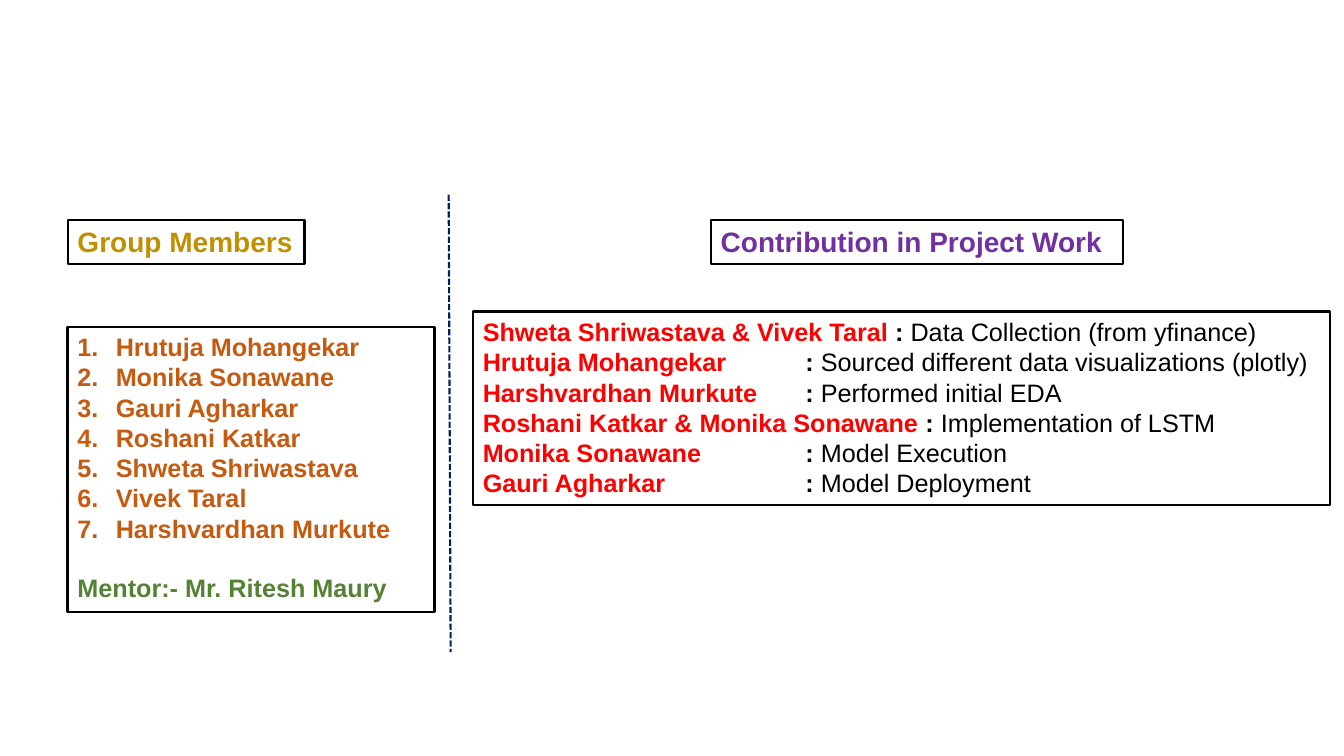
from lxml import etree
from pptx import Presentation
from pptx.dml.color import RGBColor
from pptx.enum import dml, shapes, text
from pptx.oxml import ns
from pptx.util import Inches, Pt

MEMBERS = ["Hrutuja Mohangekar", "Monika Sonawane", "Gauri Agharkar", "Roshani Katkar",
           "Shweta Shriwastava", "Vivek Taral", "Harshvardhan Murkute"]
MENTOR = "Mentor:- Mr. Ritesh Maury"
CONTRIBUTIONS = [
    ("Shweta Shriwastava & Vivek Taral", "Data Collection (from yfinance)"),
    ("Hrutuja Mohangekar", "Sourced different data visualizations (plotly)"),
    ("Harshvardhan Murkute", "Performed initial EDA"),
    ("Roshani Katkar & Monika Sonawane", "Implementation of LSTM"),
    ("Monika Sonawane", "Model Execution"),
    ("Gauri Agharkar", "Model Deployment"),
]
COLON_TAB = 3.2


def color(value):
    return RGBColor.from_string(value)


def add_span(para, words, ink, size=18, bold=True):
    span = para.add_run()
    span.text = words
    for name, value in {"name": "Arial", "size": Pt(size), "bold": bold}.items():
        setattr(span.font, name, value)
    span.font.color.rgb = color(ink)


def add_frame(page, box, fill=None, right_inset=0.1):
    """Add a black-outlined rectangle and return its text frame."""
    shape = page.shapes.add_shape(shapes.MSO_SHAPE.RECTANGLE, *map(Inches, box))
    shape.shadow.inherit = False
    if fill:
        shape.fill.solid()
        shape.fill.fore_color.rgb = color(fill)
    else:
        shape.fill.background()
    shape.line.color.rgb = color("000000")
    shape.line.width = Pt(1.5)
    frame = shape.text_frame
    settings = {"word_wrap": True, "vertical_anchor": text.MSO_ANCHOR.TOP,
                "margin_right": Inches(right_inset)}
    for name, value in settings.items():
        setattr(frame, name, value)
    return frame


def add_paragraphs(frame, count):
    for _ in range(count - 1):
        frame.add_paragraph()
    for para in frame.paragraphs:
        para.alignment = text.PP_ALIGN.LEFT
    return frame.paragraphs


def add_heading(page, box, words, ink):
    para, = add_paragraphs(add_frame(page, box, "FFFFFF", right_inset=0), 1)
    add_span(para, words, ink, size=20)


def number_paragraph(para, indent=0.38):
    properties = para._p.get_or_add_pPr()
    properties.set("marL", str(Inches(indent)))
    properties.set("indent", str(-Inches(indent)))
    etree.SubElement(properties, ns.qn("a:buFont"), typeface="+mj-lt")
    etree.SubElement(properties, ns.qn("a:buAutoNum"), type="arabicPeriod")


def add_members(page, box):
    *member_paras, mentor_para = add_paragraphs(add_frame(page, box), len(MEMBERS) + 1)
    for para, member in zip(member_paras, MEMBERS):
        number_paragraph(para)
        add_span(para, member, "C55A11")
    mentor_para.space_before = Pt(21)
    add_span(mentor_para, MENTOR, "548235")


def add_colon_tab(para):
    stops = etree.SubElement(para._p.get_or_add_pPr(), ns.qn("a:tabLst"))
    etree.SubElement(stops, ns.qn("a:tab"), pos=str(Inches(COLON_TAB)), algn="l")


def add_contributions(page, box):
    paras = add_paragraphs(add_frame(page, box), len(CONTRIBUTIONS))
    for para, (names, task) in zip(paras, CONTRIBUTIONS):
        shared = "&" in names
        if not shared:
            add_colon_tab(para)
        add_span(para, names + (" " if shared else "\t"), "FF0000")
        add_span(para, ": ", "000000")
        add_span(para, task, "000000", bold=False)


def add_divider(page, start, end):
    divider = page.shapes.add_connector(
        shapes.MSO_CONNECTOR.STRAIGHT, *map(Inches, start + end))
    divider.line.color.rgb = color("002060")
    divider.line.width = Pt(1.5)
    divider.line.dash_style = dml.MSO_LINE.SQUARE_DOT
    etree.SubElement(divider._element.spPr, ns.qn("a:effectLst"))


def main():
    deck = Presentation()
    deck.slide_width, deck.slide_height = Inches(13.33), Inches(7.5)
    page = deck.slides.add_slide(deck.slide_layouts[6])
    add_members(page, (0.67, 3.24, 3.64, 2.83))
    add_heading(page, (0.67, 2.18, 2.35, 0.44), "Group Members", "BF9000")
    add_contributions(page, (4.69, 3.09, 8.5, 1.92))
    add_heading(page, (7.05, 2.18, 4.09, 0.44), "Contribution in Project Work", "7030A0")
    add_divider(page, (4.45, 1.93), (4.47, 6.47))
    deck.save("out.pptx")


if __name__ == "__main__":
    main()
